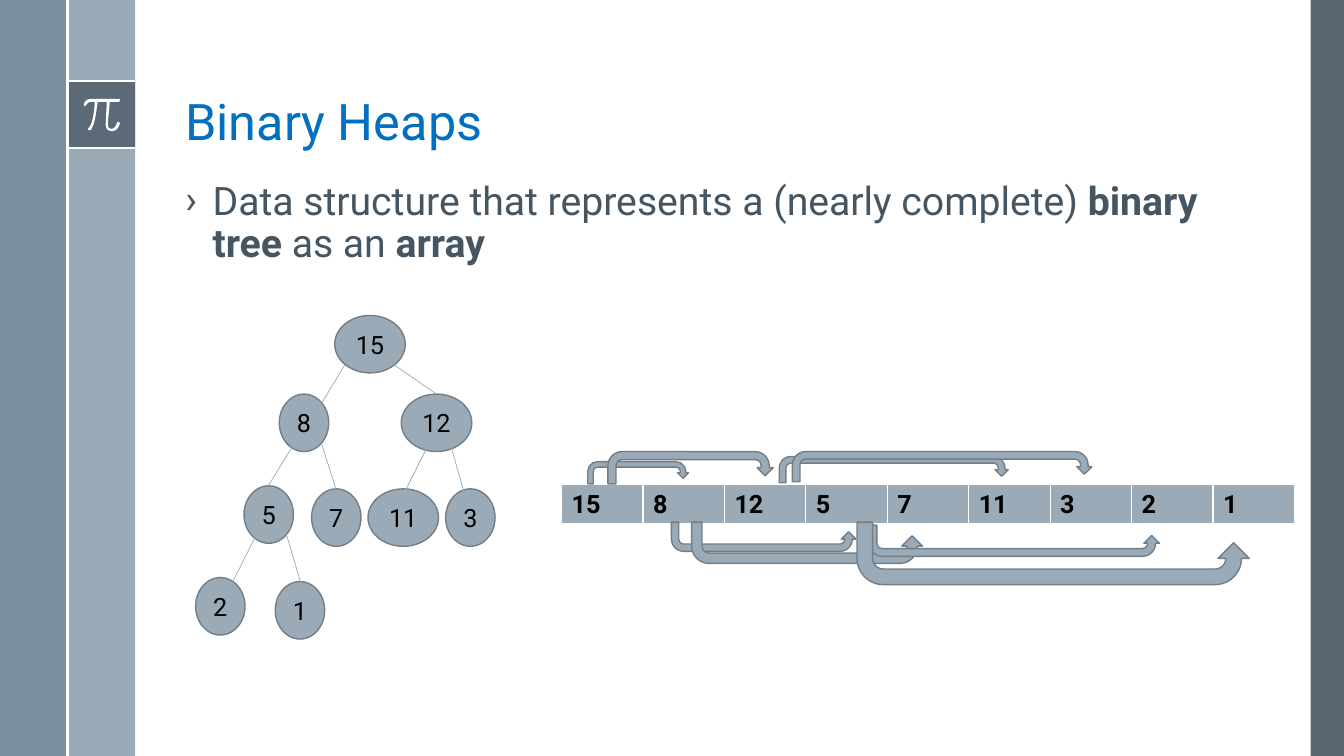
from dataclasses import dataclass

from lxml.etree import SubElement
from pptx import Presentation
from pptx.dml.color import RGBColor
from pptx.enum.shapes import MSO_CONNECTOR, MSO_SHAPE
from pptx.enum.text import MSO_ANCHOR, PP_ALIGN
from pptx.oxml.ns import qn
from pptx.util import Inches, Pt


@dataclass(frozen=True)
class Theme:
    font: str = "Roboto"
    title: str = "0070C0"
    body: str = "465562"
    label: str = "000000"
    steel: str = "9BAAB7"
    outline: str = "737E87"
    slate: str = "475562"
    blue_gray: str = "6A8093"
    white: str = "FFFFFF"
    title_size: int = 36
    body_size: int = 28
    label_size: int = 18


@dataclass(frozen=True)
class Box:
    left: float
    top: float
    width: float
    height: float

    def inside(self, left, top, width, height):
        return Box(self.left + left, self.top + top, width, height)

    def lengths(self):
        return [Inches(value) for value in (self.left, self.top, self.width, self.height)]


THEME = Theme()

PI_OUTLINE = [
    (7, 0), (2, 0, 0, 5, 0, 6), (0, 6, 0, 7, 1, 7), (2, 7), (2, 7, 4, 3, 7, 3),
    (11, 3), (11, 7, 10, 24, 5, 29), (4, 30, 4, 31, 5, 31), (7, 31),
    (12, 25, 13, 7, 14, 3), (23, 3), (22, 24), (22, 24, 21, 28, 24, 31),
    (25, 32, 26, 32, 27, 32), (29, 32), (34, 32, 36, 25, 36, 24),
    (36, 24, 35, 23, 35, 23), (34, 23, 33, 23, 33, 24), (33, 24, 32, 29, 28, 30),
    (27, 30, 26, 30, 25, 29), (24, 28, 24, 25, 24, 24), (26, 3), (35, 3),
    (36, 3, 36, 2, 36, 2), (36, 1, 36, 0, 35, 0),
]

HEAP_NODES = [
    (15, 1.38, 0), (8, 0.83, 0.78), (12, 2.04, 0.78),
    (5, 0.48, 1.69), (7, 1.15, 1.72), (11, 1.71, 1.72), (3, 2.48, 1.72),
    (2, 0, 2.6), (1, 0.79, 2.64),
]

TREE_EDGES = [
    (1.48, 0.49, 1.25, 0.87), (1.03, 1.19, 0.72, 1.69), (1.25, 1.27, 1.39, 1.72),
    (0.63, 2.12, 0.32, 2.74), (0.9, 2.17, 1.04, 2.64), (2.34, 1.22, 2.03, 1.84),
    (2.51, 1.22, 2.7, 1.88), (1.97, 0.49, 2.39, 0.78),
]

CHILD_ARROWS = [
    (0.26, -0.23, 1, 0.22), (0.46, -0.33, 1.64, 0.32), (1.09, 0.37, 1.83, 0.29),
    (1.29, 0.37, 2.29, 0.41), (2.16, -0.28, 2.27, 0.26), (2.29, -0.33, 2.97, 0.3),
    (3.05, 0.4, 2.88, 0.31), (2.93, 0.37, 3.89, 0.62),
]


def color(value):
    return RGBColor.from_string(value)


def paint(shape, fill, opacity=100, outline=None):
    shape.shadow.inherit = False
    shape.fill.solid()
    shape.fill.fore_color.rgb = color(fill)
    if opacity < 100:
        tint = shape.fill._xPr.find(qn("a:solidFill"))[0]
        SubElement(tint, qn("a:alpha"), val=str(opacity * 1000))
    if outline:
        shape.line.color.rgb = color(outline)
        shape.line.width = Pt(1)
    else:
        shape.line.fill.background()


def add_preset(page, kind, box, fill, opacity=100, outline=None):
    shape = page.shapes.add_shape(kind, *box.lengths())
    paint(shape, fill, opacity, outline)
    return shape


def add_line(page, start, end, tint, width):
    line = page.shapes.add_connector(
        MSO_CONNECTOR.STRAIGHT, *[Inches(value) for value in (*start, *end)])
    line.line.color.rgb = color(tint)
    line.line.width = Pt(width)
    SubElement(line._element.spPr, qn("a:effectLst"))


def add_span(para, text, size, tint, bold=False):
    span = para.add_run()
    span.text = text
    span.font.name = THEME.font
    span.font.size = Pt(size)
    span.font.color.rgb = color(tint)
    span.font.bold = bold


def draw_pi(page, box):
    def place(x, y):
        return Inches(box.left + x / 100), Inches(box.top + y / 100)

    builder = page.shapes.build_freeform(*place(*PI_OUTLINE[-1][-2:]))
    builder.add_line_segments([place(*segment[-2:]) for segment in PI_OUTLINE], close=True)
    glyph = builder.convert_to_shape()
    pieces = list(glyph._element.iter(qn("a:lnTo")))
    for piece, segment in zip(pieces, PI_OUTLINE):
        if len(segment) == 6:
            piece.tag = qn("a:cubicBezTo")
            for index, (x, y) in enumerate((segment[:2], segment[2:4])):
                point = SubElement(piece, qn("a:pt"), x=str(Inches(x / 100)), y=str(Inches(y / 100)))
                piece.insert(index, point)
    paint(glyph, THEME.white)


def draw_frame(page, box):
    band = 0.67
    badge_top = 0.8
    bars = [
        (box.width - 0.33, 0, 0.33, box.height, THEME.slate, 90),
        (band, 0, band, box.height, THEME.steel, 100),
        (0, 0, band, box.height, THEME.blue_gray, 88),
        (band, badge_top, band, band, THEME.slate, 75),
    ]
    for left, top, width, height, fill, opacity in bars:
        add_preset(page, MSO_SHAPE.RECTANGLE, box.inside(left, top, width, height), fill, opacity)
    for top in (badge_top, badge_top + band):
        add_line(page, (box.left + band, box.top + top),
                 (box.left + 2 * band, box.top + top), THEME.white, 1.5)
    draw_pi(page, box.inside(0.83, 0.98, 0.37, 0.32))
    add_line(page, (box.left + band, box.top),
             (box.left + band, box.top + box.height), THEME.white, 1.5)


def add_text(page, box, anchor):
    frame = page.shapes.add_textbox(*box.lengths()).text_frame
    frame.word_wrap = True
    frame.vertical_anchor = anchor
    para = frame.paragraphs[0]
    para.line_spacing = 0.9
    return para


def draw_title(page, box):
    para = add_text(page, box, MSO_ANCHOR.BOTTOM)
    add_span(para, "Binary Heaps", THEME.title_size, THEME.title)


def draw_body(page, box):
    para = add_text(page, box, MSO_ANCHOR.TOP)
    properties = para._p.get_or_add_pPr()
    properties.set("marL", str(Inches(0.27)))
    properties.set("indent", str(-Inches(0.27)))
    SubElement(properties, qn("a:buFont"), typeface=THEME.font)
    SubElement(properties, qn("a:buChar"), char="›")
    for text, bold in (
        ("Data structure that represents a (nearly complete) ", False),
        ("binary tree", True),
        (" as an ", False),
        ("array", True),
    ):
        add_span(para, text, THEME.body_size, THEME.body, bold)


def draw_tree(page, box):
    for value, left, top in HEAP_NODES:
        width = 0.7 if value >= 10 else 0.49
        node = add_preset(page, MSO_SHAPE.OVAL, box.inside(left, top, width, 0.57),
                          THEME.steel, outline=THEME.outline)
        node.text_frame.word_wrap = False
        node.text_frame.vertical_anchor = MSO_ANCHOR.MIDDLE
        para = node.text_frame.paragraphs[0]
        para.alignment = PP_ALIGN.CENTER
        add_span(para, str(value), THEME.label_size, THEME.label)
    for x1, y1, x2, y2 in TREE_EDGES:
        add_line(page, (box.left + x1, box.top + y1), (box.left + x2, box.top + y2),
                 THEME.steel, 0.5)


def draw_array(page, box):
    table = page.shapes.add_table(1, len(HEAP_NODES), *box.lengths()).table
    for cell, (value, _, _) in zip(table.rows[0].cells, HEAP_NODES):
        properties = cell._tc.get_or_add_tcPr()
        for side, width in (("L", 1), ("R", 1), ("T", 1), ("B", 3)):
            border = SubElement(properties, qn(f"a:ln{side}"), w=str(Pt(width)))
            SubElement(SubElement(border, qn("a:solidFill")), qn("a:srgbClr"), val=THEME.white)
        cell.fill.solid()
        cell.fill.fore_color.rgb = color(THEME.steel)
        add_span(cell.text_frame.paragraphs[0], str(value), THEME.label_size, THEME.label, True)
    for left, top, width, height in CHILD_ARROWS:
        arrow = add_preset(page, MSO_SHAPE.U_TURN_ARROW, box.inside(left, top, width, height),
                           THEME.steel, outline=THEME.outline)
        if top > 0:
            arrow._element.spPr.get_or_add_xfrm().set("flipV", "1")
            arrow.adjustments[4] = 0.67


def main():
    deck = Presentation()
    deck.slide_width = Inches(13.33)
    deck.slide_height = Inches(7.5)
    page = deck.slides.add_slide(deck.slide_layouts[6])
    draw_frame(page, Box(0, 0, 13.33, 7.5))
    draw_title(page, Box(1.74, 0.19, 10.7, 1.36))
    draw_body(page, Box(1.74, 1.75, 10.7, 5))
    draw_tree(page, Box(1.94, 3.13, 2.97, 3.21))
    draw_array(page, Box(5.57, 4.81, 7.27, 0.4))
    deck.save("out.pptx")


if __name__ == "__main__":
    main()
